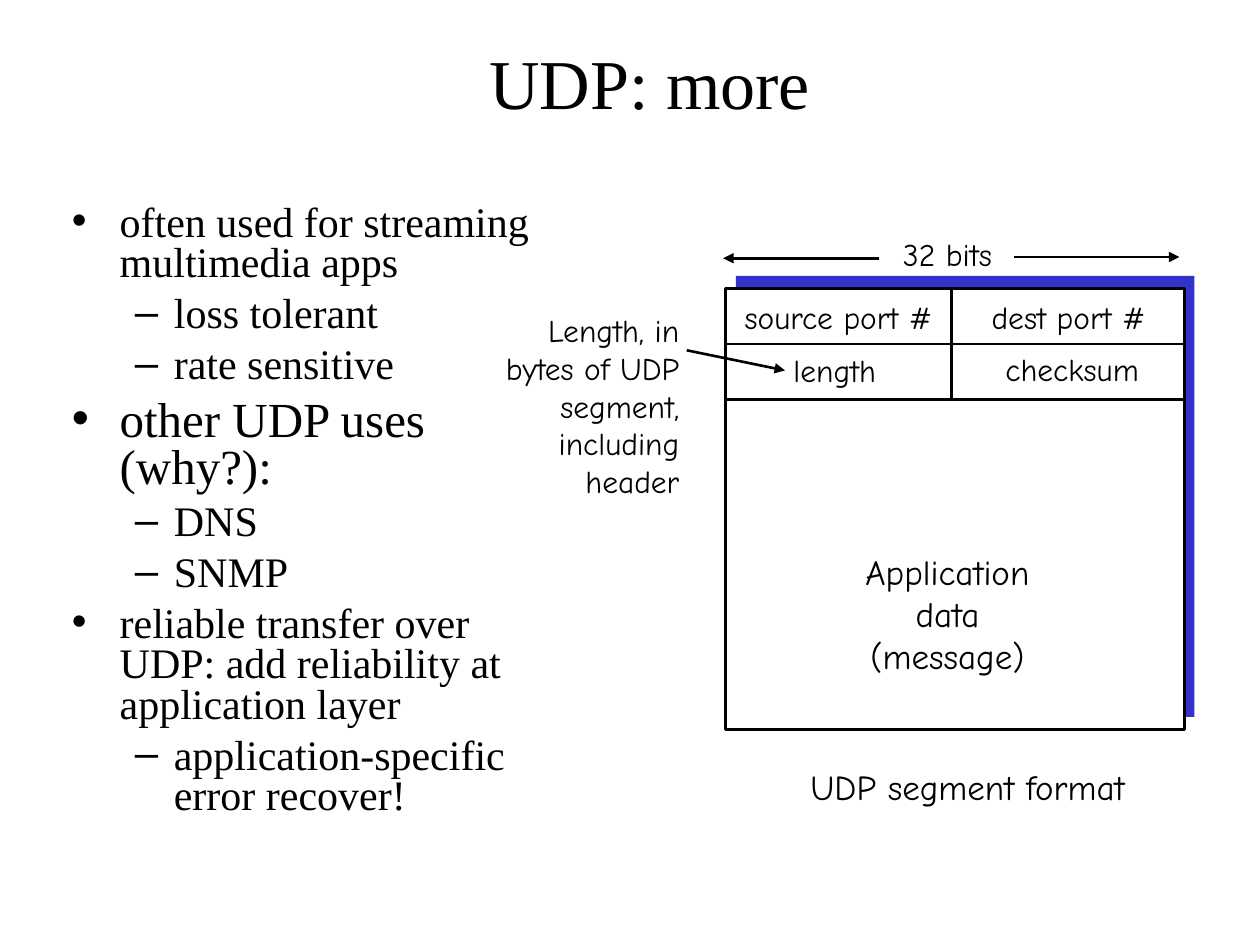
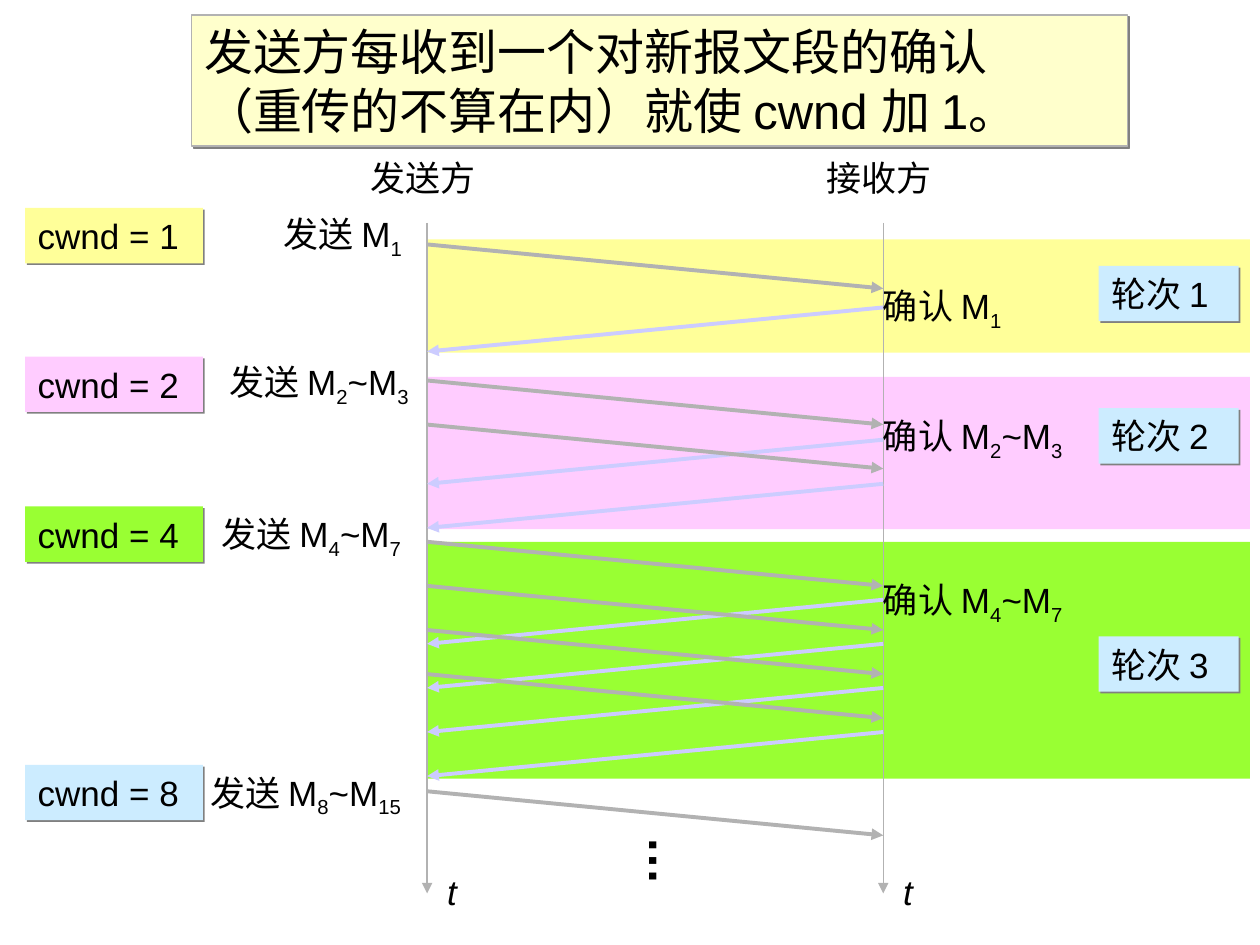
from lxml.etree import SubElement
from pptx import Presentation
from pptx.dml.color import RGBColor
from pptx.enum.shapes import MSO_CONNECTOR, MSO_SHAPE
from pptx.enum.text import MSO_ANCHOR, MSO_AUTO_SIZE, PP_ALIGN
from pptx.oxml.ns import qn
from pptx.util import Inches, Pt

BLACK, WHITE, BLUE = "000000", "FFFFFF", "3333CC"
GREY, LILAC, SHADE = "B2B2B2", "CCCCFF", "808080"
YELLOW, PINK, GREEN = "FFFF99", "FFCCFF", "99FF33"
CREAM, SKY = "FFFFCC", "CCECFF"
SERIF, SANS, COMIC = "Times New Roman", "Arial", "Comic Neue"
LEFT, MID, RIGHT = PP_ALIGN.LEFT, PP_ALIGN.CENTER, PP_ALIGN.RIGHT
SEND_X, RECV_X, DROP = 3.39, 7.01, 0.35


def paint(format, color):
    """Give a fill or a font one solid colour."""
    if hasattr(format, "solid"):
        format.solid()
        format.fore_color.rgb = RGBColor.from_string(color)
    else:
        format.color.rgb = RGBColor.from_string(color)


def place(shape, x, y, w, h):
    """Move and size a shape in inches."""
    shape.left, shape.top = Inches(x), Inches(y)
    shape.width, shape.height = Inches(w), Inches(h)


def add_run(para, text, size, font, bold=False, slant=False, sub=False):
    """Add one styled run to a paragraph."""
    run = para.add_run()
    run.text = text
    run.font.size, run.font.name = Pt(size), font
    run.font.bold, run.font.italic = bold, slant
    paint(run.font, BLACK)
    if sub:
        run.font._element.set("baseline", "-25000")


def write(shape, lines, size, font, align=LEFT, anchor=MSO_ANCHOR.TOP, **style):
    """Fill a shape with lines, where bars enclose subscripts."""
    frame = shape.text_frame
    frame.word_wrap = False
    frame.auto_size = MSO_AUTO_SIZE.NONE
    frame.vertical_anchor = anchor
    for i, line in enumerate(lines):
        para = frame.add_paragraph() if i else frame.paragraphs[0]
        para.alignment = align
        for j, part in enumerate(line.split("|")):
            if part:
                add_run(para, part, size, font, sub=j % 2 == 1, **style)


def add_label(slide, box, lines, size=20, font=SANS, align=LEFT, **style):
    """Add a plain text box."""
    label = slide.shapes.add_textbox(*map(Inches, box))
    write(label, lines, size, font, align, **style)
    return label


def add_rect(slide, box, fill):
    """Add a flat rectangle."""
    rect = slide.shapes.add_shape(MSO_SHAPE.RECTANGLE, *map(Inches, box))
    rect.shadow.inherit = False
    paint(rect.fill, fill)
    rect.line.fill.background()
    return rect


def cast(shape):
    """Give a shape a thin hard shadow."""
    shape.shadow.inherit = False
    effects = shape._element.spPr.find(qn("a:effectLst"))
    outer = SubElement(effects, qn("a:outerShdw"), dist="17961", dir="2700000",
                       algn="ctr", rotWithShape="0")
    SubElement(outer, qn("a:srgbClr"), val=SHADE)


def add_tag(slide, box, text, fill):
    """Add a shaded tag with one line of text."""
    tag = add_rect(slide, box, fill)
    cast(tag)
    write(tag, [text], 20, SANS, anchor=MSO_ANCHOR.MIDDLE)


def add_line(slide, start, end, color=BLACK, width=1.5, arrow=False):
    """Add a straight line, with an arrowhead if asked."""
    line = slide.shapes.add_connector(
        MSO_CONNECTOR.STRAIGHT, *map(Inches, (*start, *end)))
    paint(line.line.fill, color)
    line.line.width = Pt(width)
    props = line._element.spPr
    if arrow:
        SubElement(props.find(qn("a:ln")), qn("a:tailEnd"), type="triangle")
    SubElement(props, qn("a:effectLst"))


def add_list(body, items):
    """Fill the body with bullets of two levels."""
    frame = body.text_frame
    frame.word_wrap = True
    frame.auto_size = MSO_AUTO_SIZE.NONE
    for i, (level, size, text) in enumerate(items):
        para = frame.add_paragraph() if i else frame.paragraphs[0]
        para.level = level
        left, hang, mark = ((0.38, 0.38, "•"), (0.81, 0.31, "–"))[level]
        props = para._p.get_or_add_pPr()
        props.set("marL", str(Inches(left)))
        props.set("indent", str(-Inches(hang)))
        tint = SubElement(props, qn("a:buClr"))
        SubElement(tint, qn("a:srgbClr"), val=BLACK)
        SubElement(props, qn("a:buChar"), char=mark)
        para.line_spacing = 0.8
        para.space_before = Pt(size / 4 if i else 0)
        add_run(para, text, size, SERIF)


def draw_udp(deck):
    """Build the slide on UDP uses and its segment format."""
    slide = deck.slides.add_slide(deck.slide_layouts[1])
    title, body = slide.placeholders
    place(title, 0.59, 0.02, 9.13, 1.25)
    write(title, ["UDP: more"], 40, SERIF, MID, MSO_ANCHOR.MIDDLE)
    place(body, 0.47, 1.58, 4.17, 5.08)
    add_list(body, [
        (0, 24, "often used for streaming multimedia apps"),
        (1, 24, "loss tolerant"),
        (1, 24, "rate sensitive"),
        (0, 28, "other UDP uses (why?):"),
        (1, 24, "DNS"),
        (1, 24, "SNMP"),
        (0, 24, "reliable transfer over UDP: add reliability at application layer"),
        (1, 24, "application-specific error recover!"),
    ])
    add_rect(slide, (5.84, 2.19, 3.64, 3.5), BLUE)
    front = add_rect(slide, (5.76, 2.29, 3.64, 3.5), WHITE)
    paint(front.line.fill, BLACK)
    front.line.width = Pt(1.5)
    for y in (2.73, 3.17):
        add_line(slide, (5.75, y), (9.39, y))
        add_line(slide, (7.55, y), (7.55, y - 0.44))
    for start, end in (((8.05, 2.04), (9.36, 2.04)),
                       ((6.98, 2.05), (5.74, 2.05)),
                       ((5.45, 2.78), (6.23, 2.94))):
        add_line(slide, start, end, arrow=True)
    for box, text in (((5.81, 2.32, 1.69, 0.4), "source port #"),
                      ((7.77, 2.32, 1.42, 0.4), "dest port #"),
                      ((6.2, 2.74, 0.85, 0.4), "length"),
                      ((7.88, 2.73, 1.26, 0.4), "checksum"),
                      ((7.07, 1.82, 0.9, 0.4), "32 bits")):
        add_label(slide, box, [text], 18, COMIC, MID)
    add_label(slide, (6.77, 4.32, 1.5, 1.1),
              ["Application", "data", "(message)"], 20, COMIC, MID)
    add_label(slide, (6.33, 6.03, 2.7, 0.44), ["UDP segment format"], 20, COMIC, MID)
    add_label(slide, (3.91, 2.42, 1.58, 1.6),
              ["Length, in", "bytes of UDP", "segment,", "including", "header"],
              18, COMIC, RIGHT)


def draw_start(deck):
    """Build the slide on how cwnd grows round by round."""
    slide = deck.slides.add_slide(deck.slide_layouts[5])
    title = slide.shapes.title
    place(title, 1.52, 0.12, 7.43, 1.04)
    paint(title.fill, CREAM)
    paint(title.line.fill, GREY)
    title.line.width = Pt(0.75)
    cast(title)
    write(title, ["发送方每收到一个对新报文段的确认",
                  "（重传的不算在内）就使 cwnd 加 1。"], 28, SANS)

    bands = ((1.9, 0.9, YELLOW), (2.99, 1.21, PINK), (4.3, 1.88, GREEN))
    for y, h, fill in bands:
        add_rect(slide, (SEND_X, y, 6.53, h), fill)
    for x, name in ((SEND_X, "发送方"), (RECV_X, "接收方")):
        add_line(slide, (x, 1.77), (x, 7.09), GREY, 0.75, True)
        add_label(slide, (x - 0.55, 1.19, 1.03, 0.44), [name])
        add_label(slide, (x + 0.06, 6.86, 0.28, 0.43), ["t"], slant=True)

    flights = ((1, 1.94, 2.44), (2, 3.02, 3.49), (4, 4.3, 4.76), (1, 6.28, None))
    for count, send, ack in flights:
        for i in range(count):
            step = i * DROP
            if ack:
                add_line(slide, (RECV_X, ack + step), (SEND_X, ack + step + DROP),
                         LILAC, 2.25, True)
            add_line(slide, (SEND_X, send + step), (RECV_X, send + step + DROP),
                     GREY, 2.25, True)

    sends = ((2.15, 1.64, 1.28, "M|1|"), (1.72, 2.81, 1.77, "M|2|~M|3|"),
             (1.66, 4.02, 1.77, "M|4|~M|7|"), (1.57, 6.07, 1.86, "M|8|~M|15|"))
    for x, y, w, text in sends:
        add_label(slide, (x, y, w, 0.48), ["发送 " + text])
    acks = ((2.21, 1.37, "M|1|"), (3.24, 1.9, "M|2|~M|3|"), (4.54, 1.9, "M|4|~M|7|"))
    for y, w, text in acks:
        add_label(slide, (6.91, y, w, 0.48), ["确认 " + text])
    sizes = ((1.65, YELLOW), (2.83, PINK), (4.02, GREEN), (6.07, SKY))
    for i, (y, fill) in enumerate(sizes):
        add_tag(slide, (0.2, y, 1.41, 0.44), f"cwnd = {2 ** i}", fill)
    for i, y in enumerate((2.11, 3.24, 5.05), 1):
        add_tag(slide, (8.72, y, 1.11, 0.44), f"轮次 {i}", SKY)
    dots = add_label(slide, (5.01, 6.55, 0.59, 0.57), ["…"], 28, bold=True)
    dots.rotation = 90


def main():
    """Build and save the deck."""
    deck = Presentation()
    deck.slide_width, deck.slide_height = Inches(10), Inches(7.5)
    draw_udp(deck)
    draw_start(deck)
    deck.save("out.pptx")


if __name__ == "__main__":
    main()
